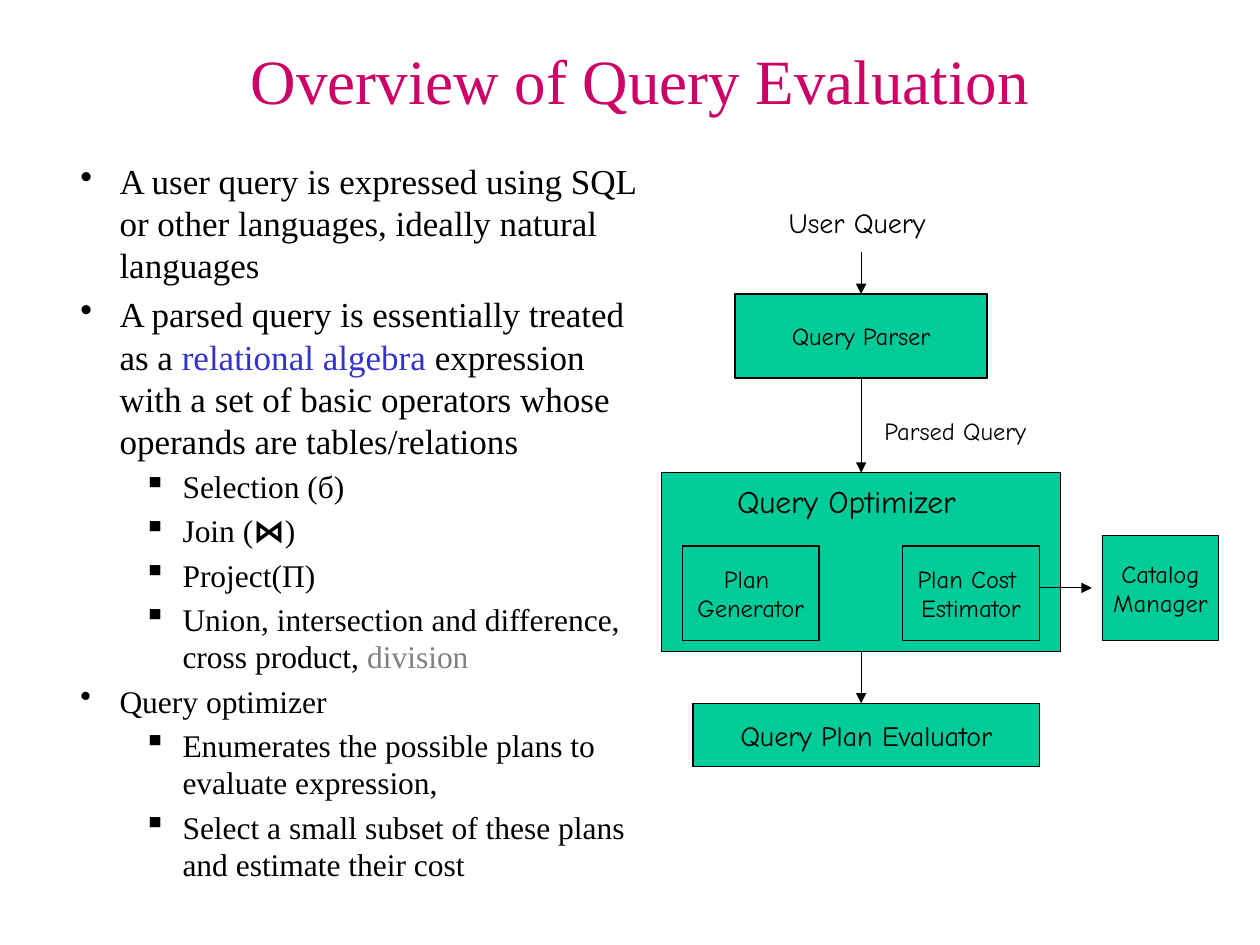
from lxml import etree
from pptx import Presentation, util as u
from pptx.dml.color import RGBColor
from pptx.enum import shapes, text
from pptx.oxml.ns import qn

SERIF, COMIC = "Times New Roman", "Comic Neue"
BLACK, GREEN = "000000", "00CC99"
CENTRE_X = 17.36


def color(value):
    return RGBColor.from_string(value)


def set_font(font, name, size, value=BLACK):
    font.name, font.size = name, u.Pt(size)
    font.color.rgb = color(value)


def add_title(slide, wording):
    title = slide.shapes.title
    title.left, title.top = u.Cm(1.47), u.Cm(0.64)
    title.width, title.height = u.Cm(22.86), u.Cm(1.9)
    frame = title.text_frame
    frame.text = wording
    frame.vertical_anchor = text.MSO_ANCHOR.MIDDLE
    frame.paragraphs[0].alignment = text.PP_ALIGN.CENTER
    set_font(frame.paragraphs[0].font, SERIF, 36, "CC0066")


def add_bullet(paragraph, level, size, runs):
    paragraph.level = level
    paragraph.space_before = u.Pt(size * 0.2)
    set_font(paragraph.font, SERIF, size)
    props = paragraph._p.get_or_add_pPr()
    props.set("marL", str(u.Cm(0.79 + 1.27 * level)))
    props.set("indent", str(u.Cm(-0.79)))
    bullet = etree.Element(qn("a:buChar"), char="•▪"[level])
    props.find(qn("a:defRPr")).addprevious(bullet)
    for wording, look in runs:
        run = paragraph.add_run()
        run.text = wording
        if look == "bold":
            run.font.name, run.font.bold = COMIC, True
        elif look:
            run.font.color.rgb = color(look)


def add_bullets(slide, items):
    box = slide.shapes.add_textbox(u.Cm(1.37), u.Cm(3.1), u.Cm(11.86), u.Cm(15.04))
    frame = box.text_frame
    frame.word_wrap = True
    for i, item in enumerate(items):
        paragraph = frame.add_paragraph() if i else frame.paragraphs[0]
        add_bullet(paragraph, *item)


def write_lines(frame, wording, size, alignment):
    frame.text = wording
    frame.word_wrap = False
    for paragraph in frame.paragraphs:
        paragraph.alignment = alignment
        set_font(paragraph.font, COMIC, size)


def add_stage(slide, left, top, width, height, wording="", size=14):
    stage = slide.shapes.add_shape(shapes.MSO_SHAPE.RECTANGLE,
                                   u.Cm(left), u.Cm(top), u.Cm(width), u.Cm(height))
    stage.shadow.inherit = False
    stage.fill.solid()
    stage.fill.fore_color.rgb = color(GREEN)
    stage.line.color.rgb = color(BLACK)
    stage.line.width = u.Pt(0.75)
    if wording:
        stage.text_frame.vertical_anchor = text.MSO_ANCHOR.MIDDLE
        write_lines(stage.text_frame, wording, size, text.PP_ALIGN.CENTER)


def add_label(slide, left, top, width, height, wording, size):
    label = slide.shapes.add_textbox(u.Cm(left), u.Cm(top), u.Cm(width), u.Cm(height))
    write_lines(label.text_frame, wording, size, text.PP_ALIGN.LEFT)
    label.text_frame.auto_size = text.MSO_AUTO_SIZE.SHAPE_TO_FIT_TEXT


def add_arrow(slide, x1, y1, x2, y2):
    arrow = slide.shapes.add_connector(shapes.MSO_CONNECTOR.STRAIGHT,
                                       u.Cm(x1), u.Cm(y1), u.Cm(x2), u.Cm(y2))
    arrow.line.color.rgb = color(BLACK)
    arrow.line.width = u.Pt(0.75)
    etree.SubElement(arrow.line._get_or_add_ln(), qn("a:tailEnd"), type="triangle")
    etree.SubElement(arrow._element.spPr, qn("a:effectLst"))


def main():
    deck = Presentation()
    deck.slide_width, deck.slide_height = u.Cm(25.4), u.Cm(19.05)
    slide = deck.slides.add_slide(deck.slide_layouts[5])
    add_title(slide, "Overview of Query Evaluation")
    add_bullets(slide, [
        (0, 20, [("A user query is expressed using SQL or other languages, "
                  "ideally natural languages", None)]),
        (0, 20, [("A parsed query is essentially treated as a ", None),
                 ("relational algebra", "3333CC"),
                 (" expression with a set of basic operators whose operands "
                  "are tables/relations", None)]),
        (1, 18, [("Selection (б)", None)]),
        (1, 18, [("Join (", None), ("⋈", "bold"), (")", None)]),
        (1, 18, [("Project(Π)", None)]),
        (1, 18, [("Union, intersection and difference, cross product, ", None),
                 ("division", "808080")]),
        (0, 18, [("Query optimizer", None)]),
        (1, 18, [("Enumerates the possible plans to evaluate expression,", None)]),
        (1, 18, [("Select a small subset of these plans and estimate their cost", None)]),
    ])
    for stage in [
        (14.82, 5.93, 5.08, 1.69, "Query Parser"),
        (13.34, 9.53, 8.04, 3.6),
        (13.76, 11.01, 2.75, 1.9, "Plan \nGenerator"),
        (18.2, 11.01, 2.75, 1.9, "Plan Cost \nEstimator"),
        (13.97, 14.18, 6.99, 1.27, "Query Plan Evaluator", 16),
        (22.23, 10.8, 2.33, 2.12, "Catalog\nManager"),
    ]:
        add_stage(slide, *stage)
    for label in [
        (14.61, 9.6, 5.56, 1.02, "Query Optimizer", 18),
        (15.65, 4.01, 3.61, 0.94, "User Query", 16),
        (17.58, 8.26, 3.66, 0.84, "Parsed Query", 14),
    ]:
        add_label(slide, *label)
    for start, end in [(5.08, 5.93), (7.62, 9.53), (13.13, 14.18)]:
        add_arrow(slide, CENTRE_X, start, CENTRE_X, end)
    add_arrow(slide, 20.96, 11.85, 22.01, 11.85)
    deck.save("out.pptx")


main()
